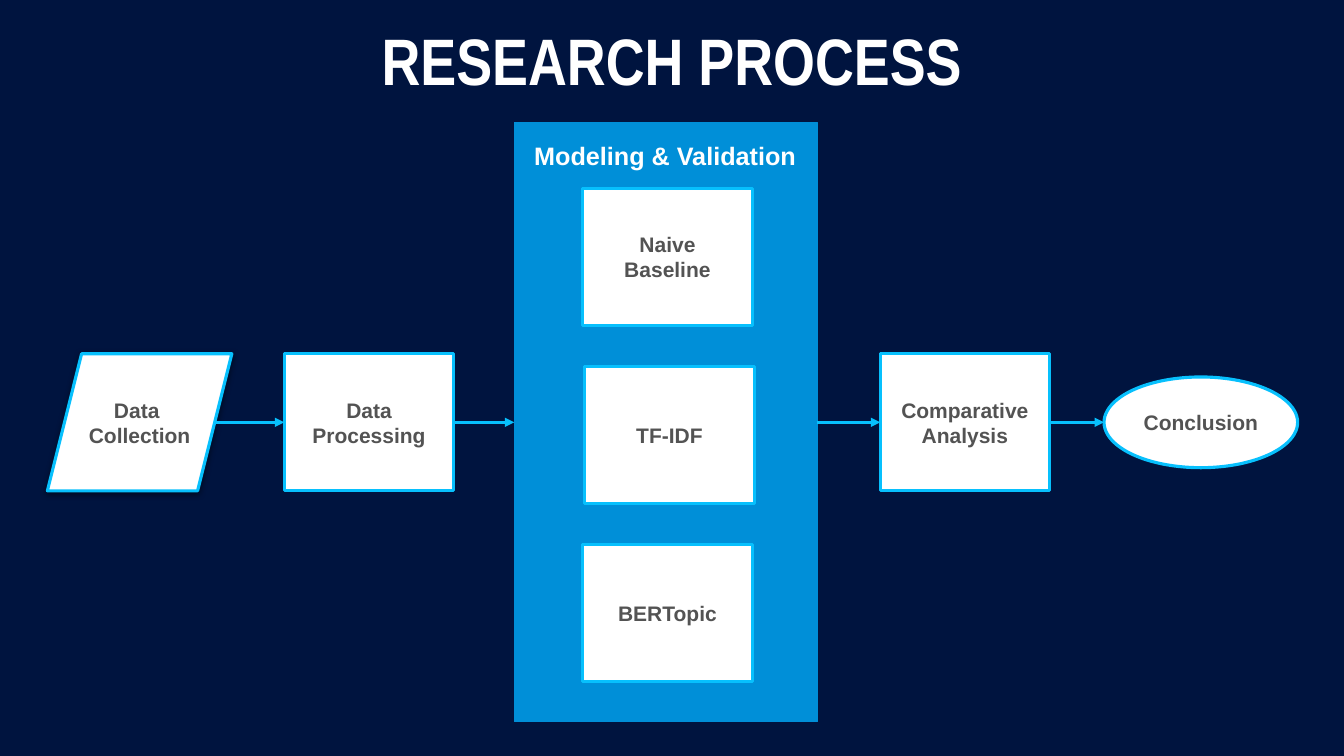
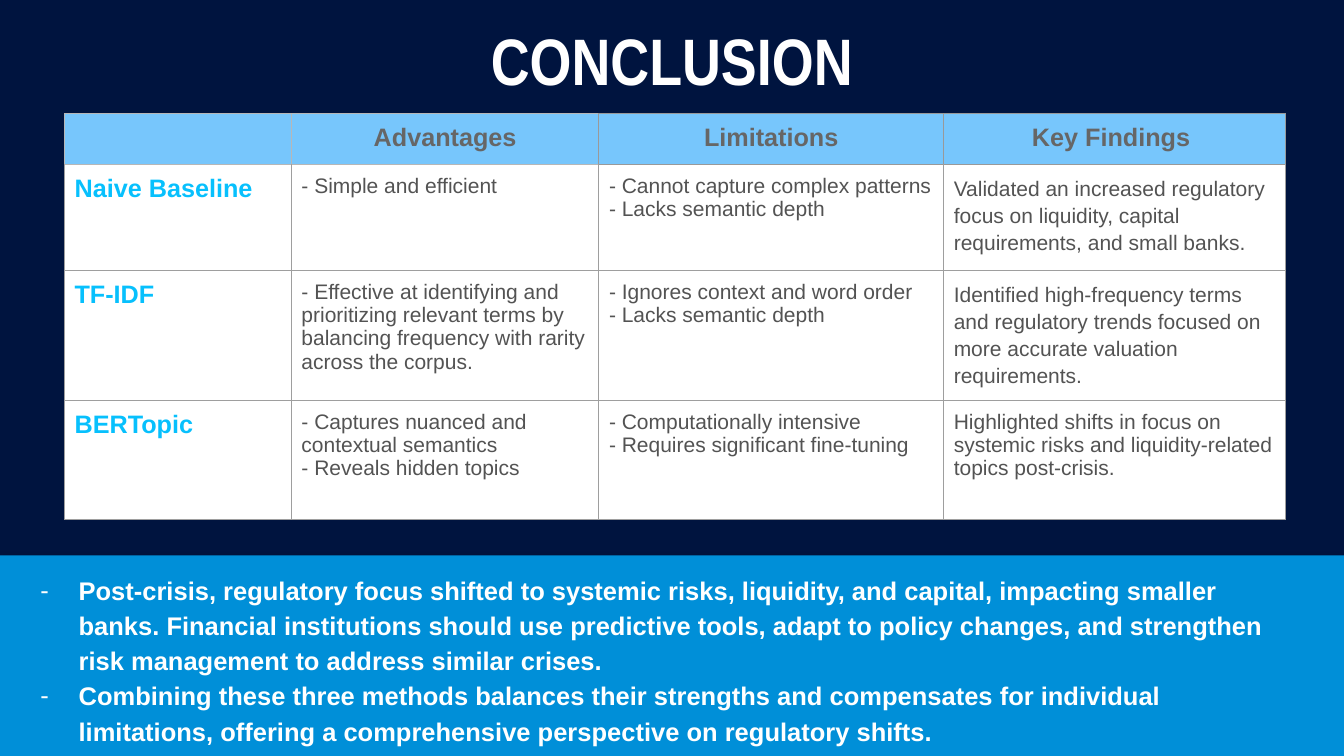
from lxml import etree
from pptx import Presentation
from pptx.dml.color import RGBColor
from pptx.enum.shapes import MSO_CONNECTOR as Wire, MSO_SHAPE as Kind
from pptx.enum.text import MSO_ANCHOR as Anchor, PP_ALIGN as Align
from pptx.oxml.ns import qn
from pptx.util import Inches, Pt

NAVY = RGBColor(0x00, 0x14, 0x3F)
BLUE = RGBColor(0x00, 0x8F, 0xD8)
CYAN = RGBColor(0x07, 0xC0, 0xFD)
SKY = RGBColor(0x77, 0xC6, 0xFC)
WHITE = RGBColor(0xFF, 0xFF, 0xFF)
BLACK = RGBColor(0x00, 0x00, 0x00)
INK = RGBColor(0x53, 0x53, 0x53)
GREY = RGBColor(0x66, 0x66, 0x66)
PALE = RGBColor(0xB7, 0xB7, 0xB7)
MID = RGBColor(0x99, 0x99, 0x99)
SOFT = RGBColor(0x9E, 0x9E, 0x9E)

WIDE, HIGH = 13.33, 7.5
STEP_W, STEP_H = 1.68, 1.36

HEADS = ["", "Advantages", "Limitations", "Key Findings "]
ROWS = [
    ("Naive Baseline",
     "- Simple and efficient",
     "- Cannot capture complex patterns\n- Lacks semantic depth",
     "Validated an increased regulatory focus on liquidity, capital requirements, and small banks."),
    ("TF-IDF",
     "- Effective at identifying and prioritizing relevant terms by balancing frequency with rarity across the corpus.",
     "- Ignores context and word order\n- Lacks semantic depth",
     "Identified high-frequency terms and regulatory trends focused on more accurate valuation requirements."),
    ("BERTopic",
     "- Captures nuanced and contextual semantics\n- Reveals hidden topics",
     "- Computationally intensive\n- Requires significant fine-tuning",
     "Highlighted shifts in focus on systemic risks and liquidity-related topics post-crisis."),
]
POINTS = (
    "Post-run, regulatory focus shifted to systemic risks, liquidity, and capital, impacting smaller banks. "
    "Financial institutions should use predictive tools, adapt to policy changes, and strengthen risk "
    "management to address similar crises.\n"
    "Combining these three methods balances their strengths and compensates for individual limitations, "
    "offering a comprehensive perspective on regulatory shifts."
).replace("Post-run", "Post-crisis")


def add(node, tag, **attrs):
    return etree.SubElement(node, qn(tag), attrs)


def tint(node, color):
    return add(add(node, "a:solidFill"), "a:srgbClr", val=str(color))


def dash(para):
    props = para._p.get_or_add_pPr()
    props.set("marL", str(Inches(0.5)))
    props.set("indent", str(Inches(-0.38)))
    add(add(props, "a:buClr"), "a:srgbClr", val=str(WHITE))
    add(props, "a:buFont", typeface="Arial")
    add(props, "a:buChar", char="-")


def write(frame, text, size=15, color=INK, bold=True, font="Arial",
          align=Align.LEFT, space=None, bullet=False):
    for i, line in enumerate(text.split("\n")):
        para = frame.add_paragraph() if i else frame.paragraphs[0]
        if bullet:
            dash(para)
        para.alignment = align
        if space:
            para.line_spacing = space
        run = para.add_run()
        run.text = line
        run.font.size = Pt(size)
        run.font.name = font
        run.font.bold = bold
        run.font.color.rgb = color


def pad(item, gap):
    item.margin_left = item.margin_right = Inches(gap)
    item.margin_top = item.margin_bottom = Inches(gap)


def label(slide, box, text, gap=0, **form):
    frame = slide.shapes.add_textbox(*map(Inches, box)).text_frame
    frame.word_wrap = True
    pad(frame, gap)
    write(frame, text, **form)


def block(slide, kind, box, fill, edge=None, width=2.25, shade=False):
    shape = slide.shapes.add_shape(kind, *map(Inches, box))
    shape.shadow.inherit = False
    shape.fill.solid()
    shape.fill.fore_color.rgb = fill
    if edge is None:
        shape.line.fill.background()
    else:
        shape.line.color.rgb = edge
        shape.line.width = Pt(width)
    if shade:
        effect = shape._element.spPr.find(qn("a:effectLst"))
        cast = add(effect, "a:outerShdw", blurRad=str(Pt(4.5)), dist=str(Pt(1.5)),
                   dir="5400000", algn="bl", rotWithShape="0")
        add(add(cast, "a:srgbClr", val=str(BLACK)), "a:alpha", val="50000")
    return shape


def step(slide, box, text, kind=Kind.RECTANGLE, shade=False):
    shape = block(slide, kind, box, WHITE, CYAN, shade=shade)
    frame = shape.text_frame
    frame.word_wrap = True
    frame.vertical_anchor = Anchor.MIDDLE
    pad(frame, 0.1)
    write(frame, text, align=Align.CENTER)


def arrow(slide, start, end, y):
    line = slide.shapes.add_connector(Wire.STRAIGHT, *map(Inches, (start, y, end, y)))
    line.line.color.rgb = CYAN
    line.line.width = Pt(2.25)
    props = line._element.spPr
    add(props.find(qn("a:ln")), "a:tailEnd", type="triangle")
    add(props, "a:effectLst")


def start(deck, title):
    slide = deck.slides.add_slide(deck.slide_layouts[6])
    label(slide, (0, 0.28, WIDE, 0.59), title, size=46.9, color=WHITE,
          font="Arial Narrow", align=Align.CENTER, space=0.91)
    return slide


def models(slide, box):
    x, y, w, h = box
    block(slide, Kind.RECTANGLE, box, BLUE, BLUE, 0.75)
    label(slide, (x + 0.1, y + 0.07, w - 0.14, 0.5), "Modeling & Validation",
          gap=0.1, size=18, color=WHITE)
    names = [("Naive\nBaseline", 0), ("TF-IDF", 0.02), ("BERTopic", 0)]
    for i, (name, shift) in enumerate(names):
        step(slide, (x + 0.68 + shift, y + 0.65 + i * 1.765, STEP_W, STEP_H), name)


def process(slide, box):
    x, y, w, h = box
    mid = y + h / 2
    top = mid - STEP_H / 2
    models(slide, (x + 4.63, y, 3.01, h))
    step(slide, (x, top, 1.83, STEP_H), "Data \nCollection", Kind.PARALLELOGRAM, True)
    for left, name in [(2.35, "Data\nProcessing"), (8.26, "Comparative\nAnalysis")]:
        step(slide, (x + left, top, STEP_W, STEP_H), name)
    step(slide, (x + w - 1.92, mid - 0.45, 1.92, 0.9), "Conclusion", Kind.OVAL)
    for tail, head in [(1.67, 2.35), (4.03, 4.63), (7.63, 8.26), (9.93, 10.48)]:
        arrow(slide, x + tail, x + head, mid)


def rule(cell, color, top):
    props = cell._tc.get_or_add_tcPr()
    for i, side in enumerate(("a:lnL", "a:lnR", "a:lnT", "a:lnB")):
        line = etree.Element(qn(side), w=str(Pt(0.75)))
        tint(line, top if side == "a:lnT" else color)
        props.insert(i, line)


def grid(slide, box):
    wides, highs = (2.25, 3.05, 3.42, 3.39), (0.49, 1.05, 1.29, 1.18)
    table = slide.shapes.add_table(4, 4, *map(Inches, box)).table
    for col, wide in zip(table.columns, wides):
        col.width = Inches(wide)
    for row, high in zip(table.rows, highs):
        row.height = Inches(high)
    for r, texts in enumerate([HEADS, *ROWS]):
        for c, text in enumerate(texts):
            cell = table.cell(r, c)
            pad(cell, 0.1)
            cell.fill.solid()
            cell.fill.fore_color.rgb = WHITE if r else SKY
            edge = PALE if c < 2 else MID
            rule(cell, SOFT if r else edge, edge if r < 2 else SOFT)
            if r == 0:
                form = dict(size=18, color=GREY, align=Align.CENTER)
            elif c == 0:
                form = dict(size=18, color=CYAN)
            elif c == 3 and r < 3:
                form = dict(bold=False, space=1.15)
                cell.margin_bottom = Inches(0.02)
            else:
                form = dict(bold=False)
            if text:
                write(cell.text_frame, text, **form)
            else:
                add(cell.text_frame.paragraphs[0]._p, "a:endParaRPr", sz="1200")


def band(slide, box):
    x, y, w, h = box
    block(slide, Kind.RECTANGLE, box, BLUE, shade=True)
    label(slide, (x + 0.28, y + 0.15, w - 0.74, h - 0.3), POINTS,
          size=18.2, color=WHITE, space=1.15, bullet=True)


def main():
    deck = Presentation()
    deck.slide_width, deck.slide_height = Inches(WIDE), Inches(HIGH)
    back = deck.slide_master.background.fill
    back.solid()
    back.fore_color.rgb = NAVY
    process(start(deck, "RESEARCH PROCESS"), (0.47, 1.22, 12.4, 5.94))
    last = start(deck, "CONCLUSION")
    band(last, (0, 5.51, WIDE, 1.99))
    grid(last, (0.64, 1.13, 12.11, 4.01))
    deck.save("out.pptx")


if __name__ == "__main__":
    main()
